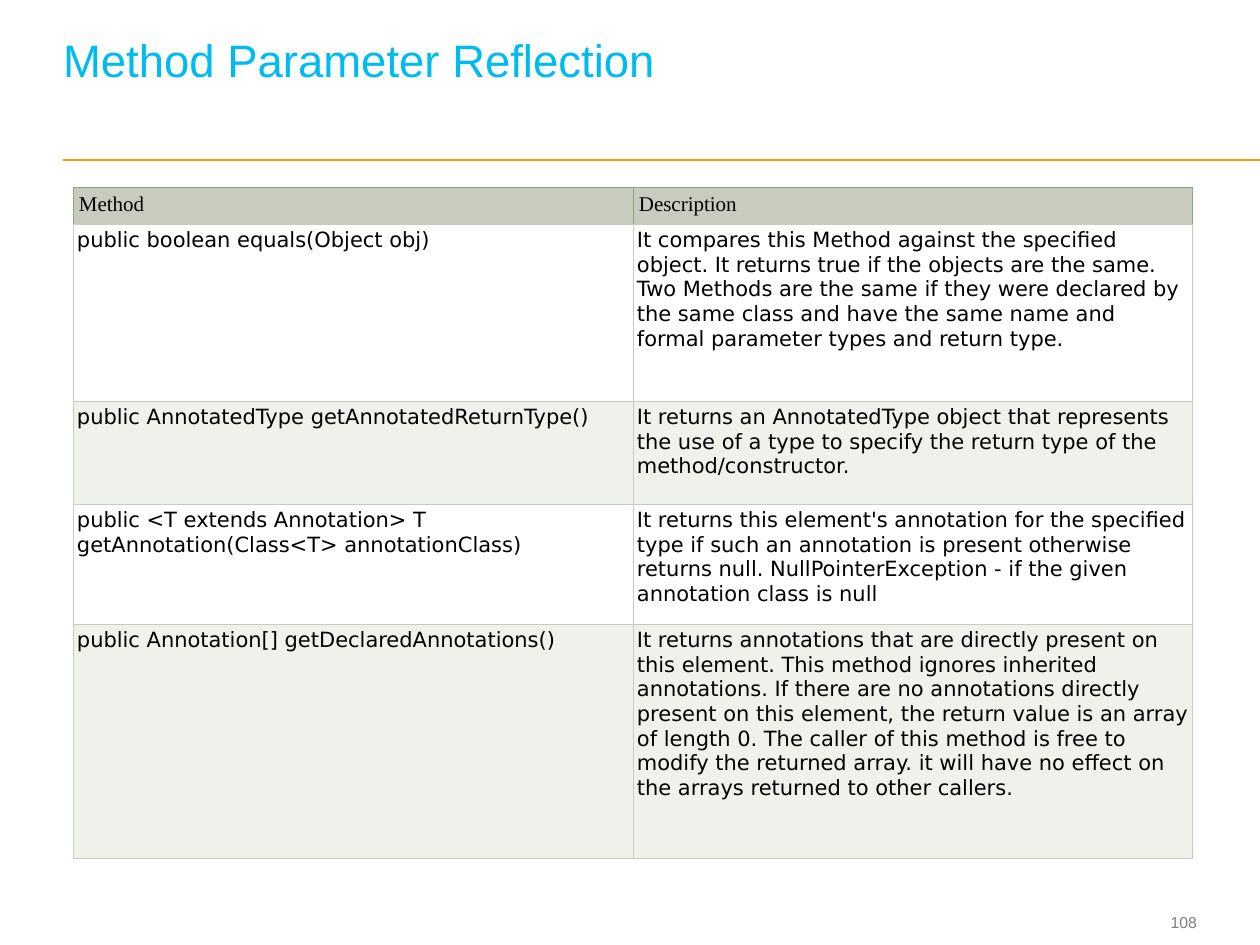
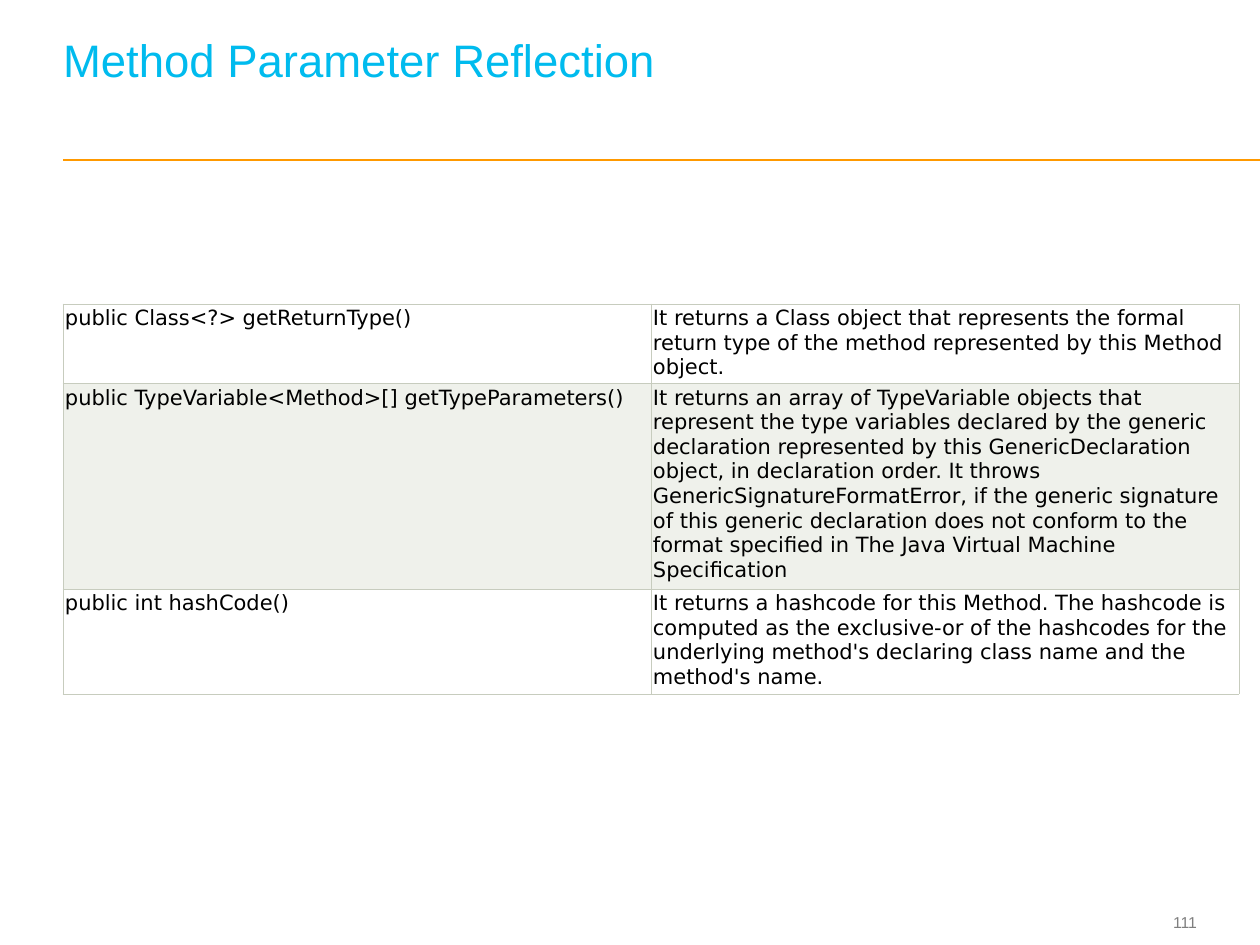
"""Build two reference slides listing the methods of the reflection class Method."""
from dataclasses import dataclass

from lxml import etree
from pptx import Presentation
from pptx import util as u
from pptx.dml.color import RGBColor
from pptx.enum import shapes, text
from pptx.oxml import ns

PX = 914400 / 126
SLIDE_WIDTH, SLIDE_HEIGHT = 1260, 945
TITLE_ONLY = 5


@dataclass(frozen=True)
class Theme:
    title: str = "00BBEE"
    rule: str = "FF9900"
    page_number: str = "7F7F7F"
    ink: str = "000000"
    header: str = "C7CCBE"
    header_border: str = "90A47A"
    border: str = "C7CCBE"
    bands: tuple = ("FFFFFF", "EFF1EB")
    heading_font: str = "Arial"
    header_font: str = "Times New Roman"
    body_font: str = "DejaVu Sans"
    title_size: int = 26
    body_size: int = 12
    page_number_size: int = 9
    rule_width: float = 1
    border_width: float = 0.6


THEME = Theme()
TITLE = "Method Parameter Reflection"
HEADER_INSET = 6

SLIDES = [
    {
        "page": "108",
        "at": (73, 187),
        "column_width": 560,
        "inset": 4,
        "header": ("Method", "Description"),
        "heights": (36, 177, 103, 120, 234),
        "methods": [
            ("public boolean equals(Object obj)",
             "It compares this Method against the specified object. It returns true if the objects "
             "are the same. Two Methods are the same if they were declared by the same class and "
             "have the same name and formal parameter types and return type."),
            ("public AnnotatedType getAnnotatedReturnType()",
             "It returns an AnnotatedType object that represents the use of a type to specify the "
             "return type of the method/constructor."),
            ("public <T extends Annotation> T getAnnotation(Class<T> annotationClass)",
             "It returns this element's annotation for the specified type if such an annotation is "
             "present otherwise returns null. NullPointerException - if the given annotation class "
             "is null"),
            ("public Annotation[] getDeclaredAnnotations()",
             "It returns annotations that are directly present on this element. This method ignores "
             "inherited annotations. If there are no annotations directly present on this element, "
             "the return value is an array of length 0. The caller of this method is free to modify "
             "the returned array. it will have no effect on the arrays returned to other callers."),
        ],
    },
    {
        "page": "111",
        "at": (63, 304),
        "column_width": 588,
        "inset": 2,
        "header": None,
        "heights": (79, 202, 104),
        "methods": [
            ("public Class<?> getReturnType()",
             "It returns a Class object that represents the formal return type of the method "
             "represented by this Method object."),
            ("public TypeVariable<Method>[] getTypeParameters()",
             "It returns an array of TypeVariable objects that represent the type variables declared "
             "by the generic declaration represented by this GenericDeclaration object, in "
             "declaration order. It throws GenericSignatureFormatError, if the generic signature of "
             "this generic declaration does not conform to the format specified in The Java Virtual "
             "Machine Specification"),
            ("public int hashCode()",
             "It returns a hashcode for this Method. The hashcode is computed as the exclusive-or of "
             "the hashcodes for the underlying method's declaring class name and the method's name."),
        ],
    },
]


def px(*lengths):
    return [u.Emu(round(length * PX)) for length in lengths]


def set_font(paragraph, name, size, color):
    font = paragraph.font
    font.name, font.size = name, u.Pt(size)
    font.color.rgb = RGBColor.from_string(color)


def set_margins(holder, left, top, right, bottom):
    (holder.margin_left, holder.margin_top,
     holder.margin_right, holder.margin_bottom) = px(left, top, right, bottom)


def add_title(slide):
    title = slide.shapes.title
    title.left, title.top, title.width, title.height = px(63, 24, 1130, 108)
    frame = title.text_frame
    frame.text = TITLE
    frame.auto_size = text.MSO_AUTO_SIZE.NONE
    frame.vertical_anchor = text.MSO_ANCHOR.BOTTOM
    set_margins(frame, 0, 0, 0, 45)
    paragraph = frame.paragraphs[0]
    paragraph.alignment = text.PP_ALIGN.LEFT
    paragraph.line_spacing = u.Pt(THEME.title_size)
    set_font(paragraph, THEME.heading_font, THEME.title_size, THEME.title)


def add_rule(slide):
    rule = slide.shapes.add_connector(shapes.MSO_CONNECTOR.STRAIGHT, *px(63, 160, SLIDE_WIDTH, 160))
    rule.line.color.rgb = RGBColor.from_string(THEME.rule)
    rule.line.width = u.Pt(THEME.rule_width)
    etree.SubElement(rule.element.spPr, ns.qn("a:effectLst"))


def add_page_number(slide, number):
    frame = slide.shapes.add_textbox(*px(1123, 905, 74, 34)).text_frame
    frame.word_wrap = True
    frame.vertical_anchor = text.MSO_ANCHOR.MIDDLE
    set_margins(frame, 0, 0, 0, 0)
    paragraph = frame.paragraphs[0]
    paragraph.text = number
    paragraph.alignment = text.PP_ALIGN.RIGHT
    set_font(paragraph, THEME.heading_font, THEME.page_number_size, THEME.page_number)


def set_borders(cell, side_color, bottom_color):
    properties = cell._tc.get_or_add_tcPr()
    for side in "LRTB":
        line = etree.SubElement(properties, ns.qn(f"a:ln{side}"), w=str(u.Pt(THEME.border_width)))
        fill = etree.SubElement(line, ns.qn("a:solidFill"))
        color = bottom_color if side == "B" else side_color
        etree.SubElement(fill, ns.qn("a:srgbClr"), val=color)


def fill_cell(cell, words, inset, font_name, fill, side_color):
    set_borders(cell, side_color, THEME.border)
    cell.fill.solid()
    cell.fill.fore_color.rgb = RGBColor.from_string(fill)
    set_margins(cell, inset, inset, inset, inset)
    cell.text = words
    set_font(cell.text_frame.paragraphs[0], font_name, THEME.body_size, THEME.ink)


def add_method_table(slide, content):
    styled_rows = [
        (method, content["inset"], THEME.body_font, THEME.bands[index % 2], THEME.border)
        for index, method in enumerate(content["methods"])
    ]
    if content["header"]:
        styled_rows.insert(0, (content["header"], HEADER_INSET, THEME.header_font,
                               THEME.header, THEME.header_border))
    heights = content["heights"]
    frame = slide.shapes.add_table(
        len(styled_rows), 2, *px(*content["at"], 2 * content["column_width"], sum(heights)))
    table = frame.table
    table.first_row = bool(content["header"])
    for column in table.columns:
        column.width = px(content["column_width"])[0]
    for row, height, (words, *style) in zip(table.rows, px(*heights), styled_rows):
        row.height = height
        for cell, cell_words in zip(row.cells, words):
            fill_cell(cell, cell_words, *style)


def main():
    presentation = Presentation()
    presentation.slide_width, presentation.slide_height = px(SLIDE_WIDTH, SLIDE_HEIGHT)
    for content in SLIDES:
        slide = presentation.slides.add_slide(presentation.slide_layouts[TITLE_ONLY])
        add_rule(slide)
        add_page_number(slide, content["page"])
        add_title(slide)
        add_method_table(slide, content)
    presentation.save("out.pptx")


if __name__ == "__main__":
    main()
